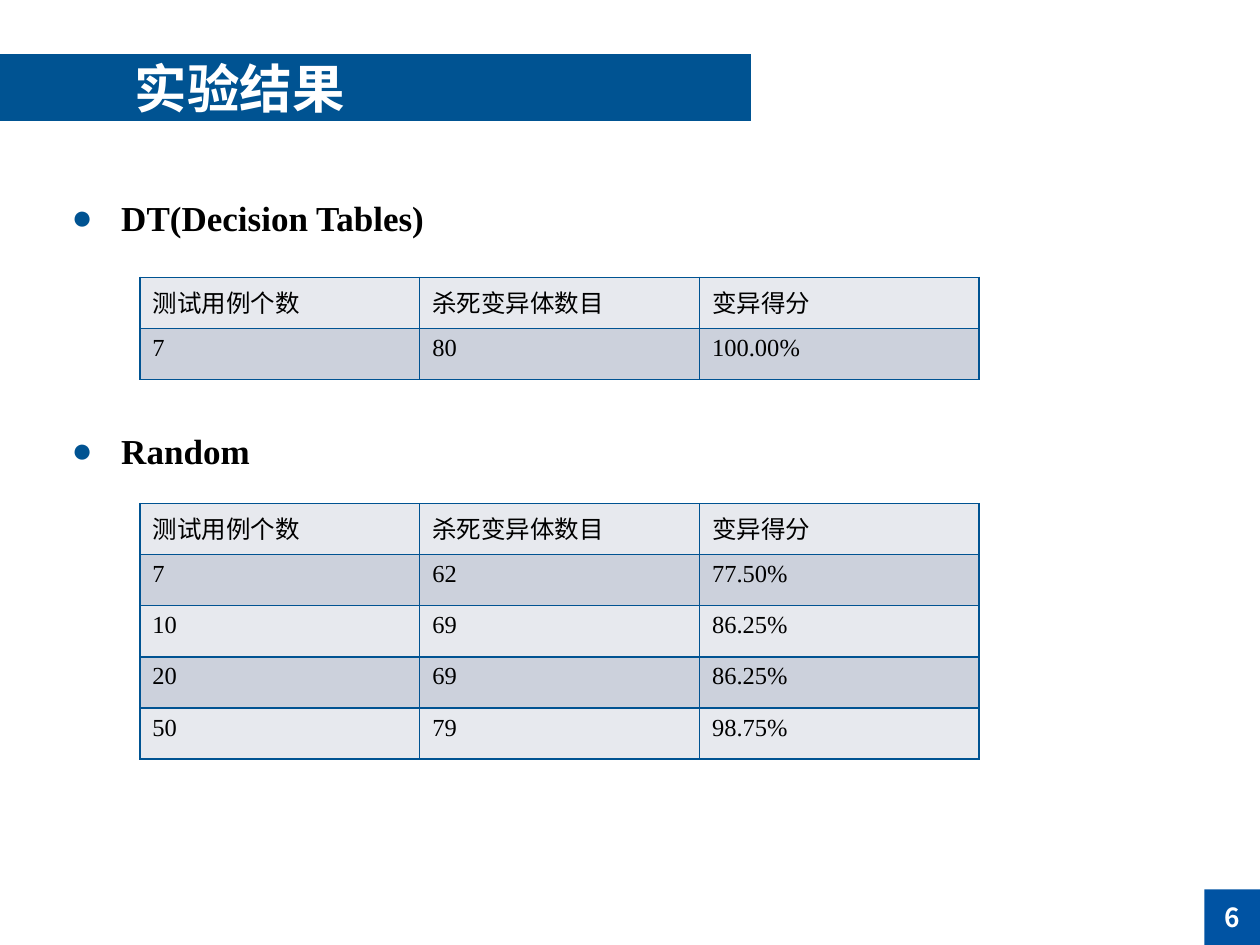
import pptx
import pptx.util
import pptx.dml.color
import pptx.enum.shapes
import pptx.enum.text
import pptx.oxml
import pptx.oxml.ns
from lxml import etree
from pptx.util import Cm, Pt

RGBColor = pptx.dml.color.RGBColor
BLUE = RGBColor(0x00, 0x53, 0x92)
PAGE_BLUE = RGBColor(0x00, 0x53, 0xA3)
WHITE = RGBColor(0xFF, 0xFF, 0xFF)
BLACK = RGBColor(0x00, 0x00, 0x00)
ROW_FILLS = (RGBColor(0xE7, 0xE9, 0xEE), RGBColor(0xCC, 0xD1, 0xDC))

SERIF = "Times New Roman"
SANS_SC = "Noto Sans CJK SC"
SANS_JP = "Noto Sans CJK JP"

HEADER = ("测试用例个数", "杀死变异体数目", "变异得分")
DECISION_TABLE_ROWS = [("7", "80", "100.00%")]
RANDOM_ROWS = [
    ("7", "62", "77.50%"),
    ("10", "69", "86.25%"),
    ("20", "69", "86.25%"),
    ("50", "79", "98.75%"),
]

TABLE_LEFT = Cm(2.82)
COLUMN_WIDTH = Cm(5.64)
ROW_HEIGHT = Cm(1.03)


def place(shape, left, top, width, height):
    shape.left, shape.top, shape.width, shape.height = left, top, width, height


def write(text_frame, text, size, color, latin, east_asian=SANS_SC, bold=False):
    """Put one paragraph in the frame, with fonts for both scripts."""
    text_frame.text = text
    paragraph = text_frame.paragraphs[0]
    font = paragraph.font
    font.size, font.bold, font.name = Pt(size), bold, latin
    font.color.rgb = color
    for run in paragraph.runs:
        properties = run._r.get_or_add_rPr()
        etree.SubElement(properties, pptx.oxml.ns.qn("a:ea"), typeface=east_asian)
    return paragraph


def format_title(title, text):
    place(title, 0, Cm(1.09), Cm(15.14), Cm(1.35))
    title.fill.solid()
    title.fill.fore_color.rgb = BLUE
    frame = title.text_frame
    frame.auto_size = pptx.enum.text.MSO_AUTO_SIZE.NONE
    frame.vertical_anchor = pptx.enum.text.MSO_ANCHOR.MIDDLE
    frame.margin_left = Cm(2.72)
    frame.margin_top = frame.margin_bottom = Cm(0.1)
    paragraph = write(frame, text, 30, WHITE, SANS_JP, SANS_JP, bold=True)
    paragraph.alignment = pptx.enum.text.PP_ALIGN.LEFT


def format_heading(placeholder, text, top):
    """Turn a body placeholder into a single bulleted heading."""
    place(placeholder, Cm(1.19), top, Cm(15.16), Cm(1.12))
    frame = placeholder.text_frame
    frame.auto_size = pptx.enum.text.MSO_AUTO_SIZE.NONE
    paragraph = write(frame, text, 20, BLACK, SERIF, bold=True)
    paragraph.space_before = Pt(0)
    properties = paragraph._p.get_or_add_pPr()
    properties.set("marL", str(Cm(1)))
    properties.set("indent", str(-Cm(1)))
    namespace = pptx.oxml.ns.nsdecls("a")
    for bullet_part in (
        f'<a:buClr {namespace}><a:srgbClr val="{BLUE}"/></a:buClr>',
        f'<a:buFont {namespace} typeface="Arial"/>',
        f'<a:buChar {namespace} char="●"/>',
    ):
        element = pptx.oxml.parse_xml(bullet_part)
        properties.insert_element_before(element, "a:tabLst", "a:defRPr", "a:extLst")


def add_borders(cell):
    properties = cell._tc.get_or_add_tcPr()
    for side in ("lnL", "lnR", "lnT", "lnB"):
        properties.append(pptx.oxml.parse_xml(
            f'<a:{side} {pptx.oxml.ns.nsdecls("a")} w="{Pt(1)}">'
            f'<a:solidFill><a:srgbClr val="{BLUE}"/></a:solidFill></a:{side}>'
        ))


def add_result_table(slide, top, data_rows):
    rows = [HEADER, *data_rows]
    table = slide.shapes.add_table(
        len(rows), len(HEADER), TABLE_LEFT, top,
        COLUMN_WIDTH * len(HEADER), ROW_HEIGHT * len(rows),
    ).table
    table.first_row = False
    for row_index, values in enumerate(rows):
        for column_index, value in enumerate(values):
            cell = table.cell(row_index, column_index)
            write(cell.text_frame, value, 14, BLACK, SERIF)
            add_borders(cell)
            cell.fill.solid()
            cell.fill.fore_color.rgb = ROW_FILLS[row_index % 2]


def add_page_number(slide, number, presentation):
    side = Cm(1.12)
    shape = slide.shapes.add_shape(
        pptx.enum.shapes.MSO_SHAPE.RECTANGLE,
        presentation.slide_width - side, presentation.slide_height - side, side, side,
    )
    shape.shadow.inherit = False
    shape.fill.solid()
    shape.fill.fore_color.rgb = PAGE_BLUE
    shape.line.fill.background()
    shape.text_frame.vertical_anchor = pptx.enum.text.MSO_ANCHOR.MIDDLE
    paragraph = write(shape.text_frame, number, 15, WHITE, SANS_SC, bold=True)
    paragraph.alignment = pptx.enum.text.PP_ALIGN.CENTER


def main():
    presentation = pptx.Presentation()
    presentation.slide_width, presentation.slide_height = Cm(25.4), Cm(19.05)
    two_content_layout = presentation.slide_layouts[3]
    slide = presentation.slides.add_slide(two_content_layout)
    title, first_heading, second_heading = slide.placeholders

    format_title(title, "实验结果")
    add_page_number(slide, "6", presentation)
    add_result_table(slide, Cm(5.59), DECISION_TABLE_ROWS)
    add_result_table(slide, Cm(10.15), RANDOM_ROWS)
    format_heading(first_heading, "DT(Decision Tables)", Cm(3.84))
    format_heading(second_heading, "Random", Cm(8.54))
    presentation.save("out.pptx")


if __name__ == "__main__":
    main()
